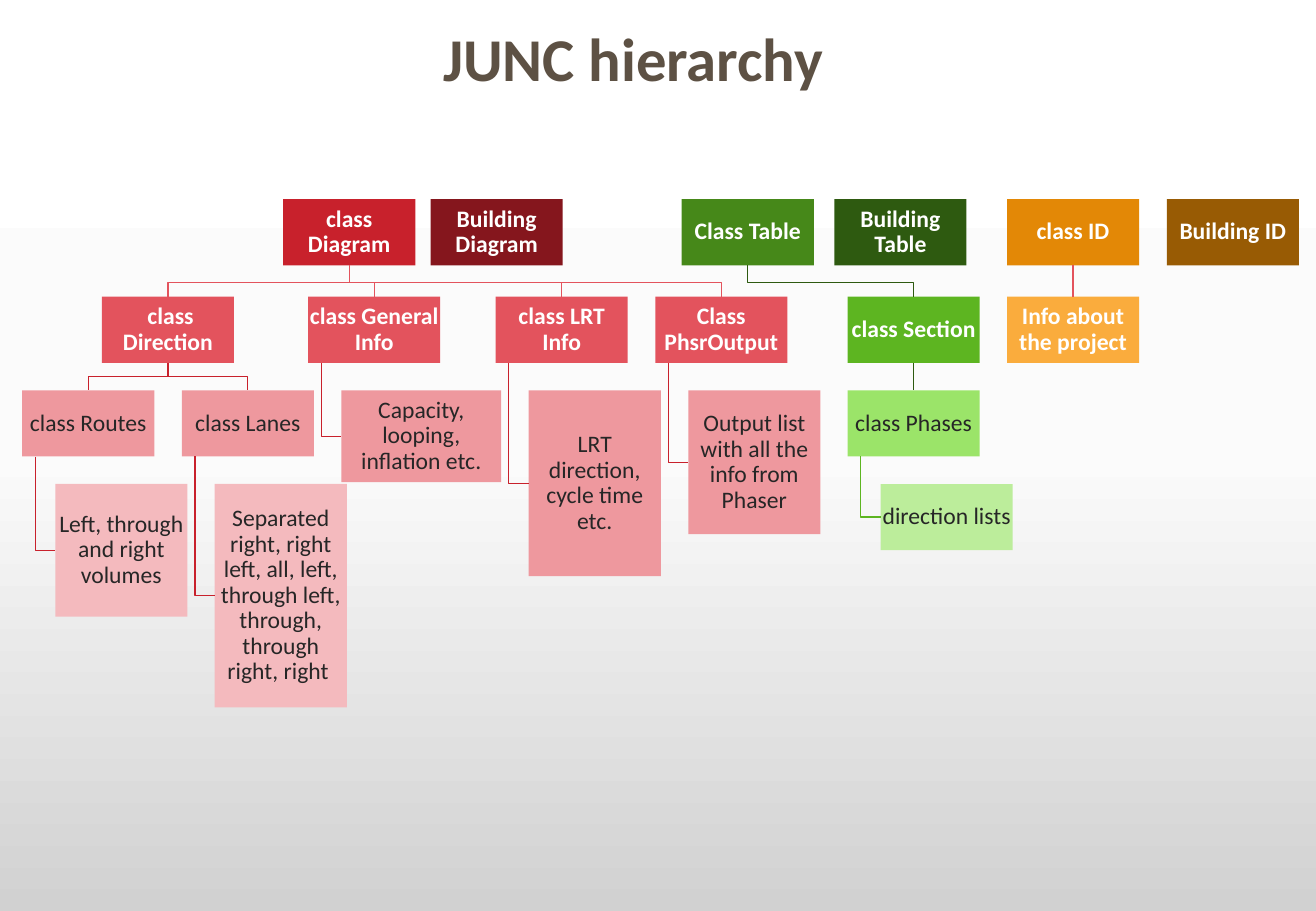
import copy
from dataclasses import dataclass

import pptx
import pptx.dml.color
import pptx.enum.shapes
import pptx.enum.text
import pptx.oxml.ns
import pptx.util
from lxml import etree

Pt = pptx.util.Pt
RGBColor = pptx.dml.color.RGBColor

FONT = "Calibri"
WHITE = RGBColor(0xFF, 0xFF, 0xFF)
INK = RGBColor(0x26, 0x26, 0x26)
TITLE_BROWN = RGBColor(0x5D, 0x51, 0x44)
BACKGROUND = [(0.0, WHITE), (0.5, RGBColor(0xFB, 0xFB, 0xFB)), (1.0, RGBColor(0xD1, 0xD1, 0xD1))]
MAROON = RGBColor(0x85, 0x16, 0x1D)
RED = RGBColor(0xC8, 0x21, 0x2C)
CORAL = RGBColor(0xE3, 0x53, 0x5D)
ROSE = RGBColor(0xEE, 0x98, 0x9E)
PINK = RGBColor(0xF4, 0xBA, 0xBE)
FOREST = RGBColor(0x2E, 0x5A, 0x10)
GREEN = RGBColor(0x46, 0x88, 0x19)
LEAF = RGBColor(0x5D, 0xB5, 0x21)
LIME = RGBColor(0x9B, 0xE4, 0x69)
PALE_LIME = RGBColor(0xBC, 0xED, 0x9B)
BROWN = RGBColor(0x98, 0x5B, 0x04)
ORANGE = RGBColor(0xE3, 0x88, 0x06)
AMBER = RGBColor(0xFA, 0xAC, 0x3D)

# Tree geometry in points
LEVEL_TOPS = [118.1, 175.9, 231.4, 286.9]
BOX_WIDTH, BOX_HEIGHT = 78.3, 39.2
BUS_GAP = 8.2       # from the shared horizontal line down to the child
HANG_INDENT = 7.8   # from the parent's left edge to the hanging line


@dataclass
class Node:
    text: str
    level: int
    left: float
    fill: RGBColor
    height: float = BOX_HEIGHT
    width: float = BOX_WIDTH

    @property
    def top(self) -> float:
        return LEVEL_TOPS[self.level]

    @property
    def bottom(self) -> float:
        return self.top + self.height

    @property
    def center(self) -> float:
        return self.left + self.width / 2


@dataclass
class Link:
    parent: str
    child: str
    color: RGBColor
    hanging: bool = False


NODES = {
    "building diagram": Node("Building Diagram", 0, 255.3, MAROON),
    "diagram": Node("class Diagram", 0, 167.9, RED),
    "direction": Node(" class Direction", 1, 60.4, CORAL),
    "routes": Node("class Routes", 2, 13.2, ROSE),
    "volumes": Node("Left, through and right volumes", 3, 32.8, PINK, 78.7),
    "lanes": Node("class Lanes", 2, 107.8, ROSE),
    "turns": Node("Separated right, right left, all, left, through left, through, "
                  "through right, right ", 3, 127.3, PINK, 132.5),
    "general": Node("class General Info", 1, 182.7, CORAL),
    "capacity": Node("Capacity, looping, inflation etc.", 2, 202.4, ROSE, 54.4, 94.6),
    "lrt": Node("class LRT Info", 1, 293.8, CORAL),
    "cycle": Node("LRT direction, cycle time etc.", 2, 313.4, ROSE, 110.2),
    "output": Node("Class PhsrOutput", 1, 388.4, CORAL),
    "output list": Node("Output list with all the info from Phaser", 2, 408, ROSE, 85.2),
    "building table": Node("Building Table", 0, 494.6, FOREST),
    "table": Node("Class Table", 0, 404.1, GREEN),
    "section": Node("class Section", 1, 502.4, LEAF),
    "phases": Node("class Phases", 2, 502.4, LIME),
    "lists": Node("direction lists", 3, 522, PALE_LIME),
    "id": Node("class ID", 0, 596.9, ORANGE),
    "project": Node("Info about the project", 1, 596.9, AMBER),
    "building id": Node("Building ID", 0, 691.6, BROWN),
}

LINKS = [
    Link("id", "project", CORAL),
    Link("phases", "lists", LEAF, True),
    Link("section", "phases", FOREST),
    Link("table", "section", FOREST),
    Link("output", "output list", RED, True),
    Link("diagram", "output", CORAL),
    Link("lrt", "cycle", RED, True),
    Link("diagram", "lrt", CORAL),
    Link("general", "capacity", RED, True),
    Link("diagram", "general", CORAL),
    Link("lanes", "turns", RED, True),
    Link("direction", "lanes", RED),
    Link("routes", "volumes", RED, True),
    Link("direction", "routes", RED),
    Link("diagram", "direction", CORAL),
]


def set_background(page) -> None:
    fill = page.background.fill
    fill.gradient()
    fill.gradient_angle = 270
    stop_list = page.background._cSld.find(".//" + pptx.oxml.ns.qn("a:gsLst"))
    stop_list.append(copy.deepcopy(stop_list[0]))
    for stop, (position, color) in zip(fill.gradient_stops, BACKGROUND):
        stop.position = position
        stop.color.rgb = color


def add_span(para, text: str, size: float, color: RGBColor, bold: bool) -> None:
    span = para.add_run()
    span.text = text
    span.font.name = FONT
    span.font.size = Pt(size)
    span.font.bold = bold
    span.font.color.rgb = color


def add_node(page, node: Node):
    box = page.shapes.add_shape(pptx.enum.shapes.MSO_SHAPE.RECTANGLE, Pt(node.left),
                                Pt(node.top), Pt(node.width), Pt(node.height))
    box.shadow.inherit = False
    box.fill.solid()
    box.fill.fore_color.rgb = node.fill
    box.line.fill.background()
    frame = box.text_frame
    frame.word_wrap = True
    frame.vertical_anchor = pptx.enum.text.MSO_ANCHOR.MIDDLE
    frame.margin_left = frame.margin_right = frame.margin_top = frame.margin_bottom = Pt(0.7)
    para = frame.paragraphs[0]
    para.alignment = pptx.enum.text.PP_ALIGN.CENTER
    para.line_spacing = 0.9
    heading = node.level < 2
    add_span(para, node.text, 14, WHITE if heading else INK, heading)
    return box


def add_link(page, link: Link, boxes: dict) -> None:
    parent, child = NODES[link.parent], NODES[link.child]
    if not link.hanging and parent.center == child.center:
        line = page.shapes.add_connector(
            pptx.enum.shapes.MSO_CONNECTOR.STRAIGHT, Pt(parent.center), Pt(parent.bottom),
            Pt(child.center), Pt(child.top))
        line.begin_connect(boxes[link.parent], 2)
        line.end_connect(boxes[link.child], 0)
        etree.SubElement(line._element.spPr, pptx.oxml.ns.qn("a:effectLst"))
    else:
        if link.hanging:
            x, y = parent.left + HANG_INDENT, child.top + child.height / 2
            points = [(x, parent.bottom), (x, y), (child.left, y)]
        else:
            bus = child.top - BUS_GAP
            points = [(parent.center, parent.bottom), (parent.center, bus),
                      (child.center, bus), (child.center, child.top)]
        corners = [(Pt(x), Pt(y)) for x, y in points]
        builder = page.shapes.build_freeform(*corners[0])
        builder.add_line_segments(corners[1:], close=False)
        line = builder.convert_to_shape()
        line.fill.background()
        line.shadow.inherit = False
    line.line.color.rgb = link.color
    line.line.width = Pt(0.75)


def add_title(page) -> None:
    box = page.shapes.add_textbox(Pt(255.6), Pt(8.6), Pt(269.3), Pt(51.1))
    box.text_frame.word_wrap = False
    box.text_frame.auto_size = pptx.enum.text.MSO_AUTO_SIZE.SHAPE_TO_FIT_TEXT
    add_span(box.text_frame.paragraphs[0], "JUNC hierarchy", 36, TITLE_BROWN, True)


def main() -> None:
    deck = pptx.Presentation()
    deck.slide_width, deck.slide_height = Pt(780), Pt(540)
    page = deck.slides.add_slide(deck.slide_layouts[6])
    set_background(page)
    # Hierarchy boxes, then the lines that join them
    boxes = {name: add_node(page, node) for name, node in NODES.items()}
    for link in LINKS:
        add_link(page, link, boxes)
    add_title(page)
    deck.save("out.pptx")


if __name__ == "__main__":
    main()
